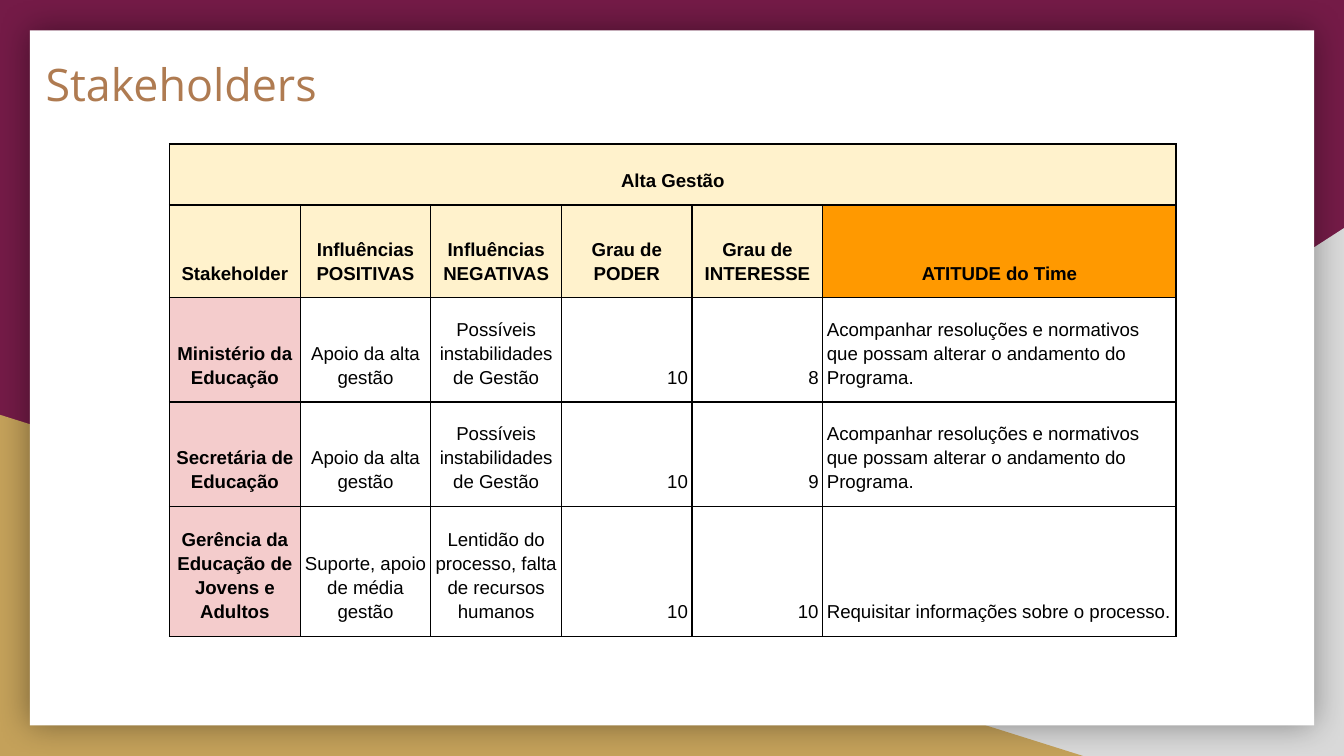
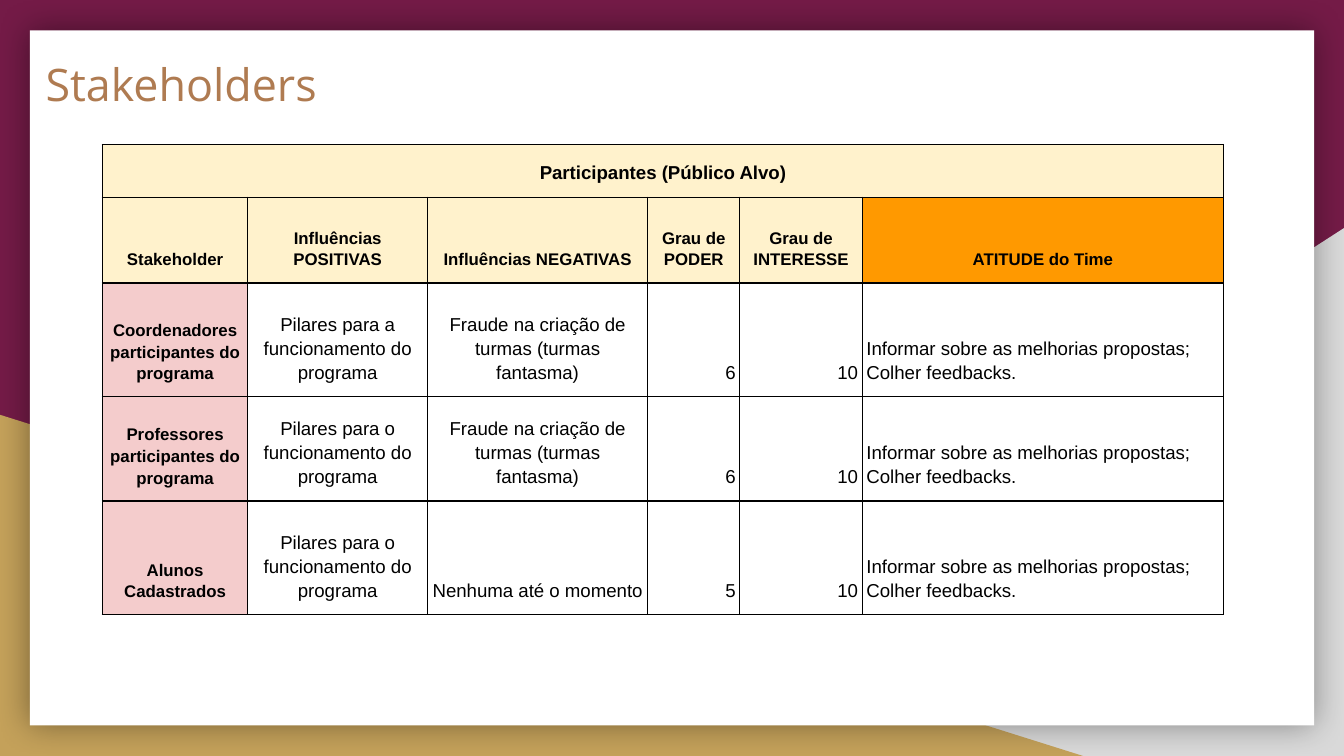
"""Build two stakeholder tables on a shared framed background."""

from lxml.etree import SubElement
from pptx import Presentation
from pptx.dml.color import RGBColor
from pptx.enum.shapes import MSO_SHAPE
from pptx.enum.text import MSO_ANCHOR, PP_ALIGN
from pptx.oxml.ns import qn
from pptx.util import Pt

PLUM, GREY, GOLD, WHITE, BLACK = "741B47", "D9D9D9", "C4A15A", "FFFFFF", "000000"
BRONZE, CREAM, ORANGE, ROSE = "AF7B51", "FFF2CC", "FF9900", "F4CCCC"
TITLE_FONT, TABLE_FONT = "Open Sans", "Arial"

HEADERS = ["Stakeholder", "Influências POSITIVAS", "Influências NEGATIVAS",
           "Grau de PODER", "Grau de INTERESSE", "ATITUDE do Time"]
ALIGNMENTS = [PP_ALIGN.CENTER] * 3 + [PP_ALIGN.RIGHT] * 2 + [PP_ALIGN.LEFT]

FOLLOW = "Acompanhar resoluções e normativos que possam alterar o andamento do Programa."
INFORM = "Informar sobre as melhorias propostas; Colher feedbacks."
UNSTABLE = "Possíveis instabilidades de Gestão"
PILLARS = "Pilares para o funcionamento do programa"
FRAUD = "Fraude na criação de turmas (turmas fantasma)"

PAGES = [
    {
        "title": "Stakeholders",
        "group": "Alta Gestão",
        "origin": (90.8, 77.2),
        "columns": [70, 70, 70, 70, 70, 189.3],
        "heights": [32.6, 49.7, 39, 39, 35.3],
        "label_size": 10,
        "rows": [
            ("Ministério da Educação", "Apoio da alta gestão", UNSTABLE, "10", "8", FOLLOW),
            ("Secretária de Educação", "Apoio da alta gestão", UNSTABLE, "10", "9", FOLLOW),
            ("Gerência da Educação de Jovens e Adultos", "Suporte, apoio de média gestão",
             "Lentidão do processo, falta de recursos humanos", "10", "10",
             "Requisitar informações sobre o processo."),
        ],
    },
    {
        "title": "Stakeholders",
        "group": "Participantes (Público Alvo)",
        "origin": (54.8, 77.4),
        "columns": [78, 96.2, 118, 49.4, 65.6, 193.5],
        "heights": [26, 46, 61, 55.5, 61],
        "label_size": 9,
        "rows": [
            ("Coordenadores participantes do programa",
             "Pilares para a funcionamento do programa", FRAUD, "6", "10", INFORM),
            ("Professores participantes do programa", PILLARS, FRAUD, "6", "10", INFORM),
            ("Alunos Cadastrados", PILLARS, "Nenhuma até o momento", "5", "10", INFORM),
        ],
    },
]


def color(value):
    return RGBColor.from_string(value)


def add_panel(page, kind, bounds, fill):
    shape = page.shapes.add_shape(kind, *map(Pt, bounds))
    shape.shadow.inherit = False
    shape.fill.solid()
    shape.fill.fore_color.rgb = color(fill)
    shape.line.fill.background()
    return shape


def add_glow(shape):
    effects = shape._element.spPr.find(qn("a:effectLst"))
    shadow = SubElement(effects, qn("a:outerShdw"), blurRad=str(Pt(18)), dist="0",
                        dir="0", algn="ctr", rotWithShape="0")
    tint = SubElement(shadow, qn("a:srgbClr"), val=BLACK)
    SubElement(tint, qn("a:alpha"), val="40000")


def add_frame(page):
    page.background.fill.solid()
    page.background.fill.fore_color.rgb = color(PLUM)
    corner = add_panel(page, MSO_SHAPE.RIGHT_TRIANGLE, (282, 122.2, 438, 282.8), GREY)
    corner._element.spPr.find(qn("a:xfrm")).set("flipH", "1")
    add_panel(page, MSO_SHAPE.RIGHT_TRIANGLE, (0, 222.2, 580.3, 182.8), GOLD)
    add_glow(add_panel(page, MSO_SHAPE.RECTANGLE, (16, 16.3, 688, 372.4), WHITE))


def add_span(paragraph, text, font, size, fill, bold=False):
    span = paragraph.add_run()
    span.text = text
    span.font.name = font
    span.font.size = Pt(size)
    span.font.bold = bold
    span.font.color.rgb = color(fill)


def add_title(page, text):
    box = page.shapes.add_textbox(Pt(17.3), Pt(23), Pt(584.6), Pt(74.9))
    frame = box.text_frame
    frame.word_wrap = True
    frame.margin_left = frame.margin_right = Pt(7.2)
    frame.margin_top = frame.margin_bottom = Pt(7.2)
    add_span(frame.paragraphs[0], text, TITLE_FONT, 24, BRONZE)


def style_cell(cell, fill):
    cell.margin_left = cell.margin_right = Pt(2.25)
    cell.margin_top = cell.margin_bottom = Pt(7.2)
    cell.vertical_anchor = MSO_ANCHOR.BOTTOM
    properties = cell._tc.get_or_add_tcPr()
    for side in ("lnL", "lnR", "lnT", "lnB"):
        line = SubElement(properties, qn(f"a:{side}"), w=str(Pt(0.75)))
        SubElement(SubElement(line, qn("a:solidFill")), qn("a:srgbClr"), val=BLACK)
    if fill:
        cell.fill.solid()
        cell.fill.fore_color.rgb = color(fill)
    else:
        cell.fill.background()


def cell_fill(row, column):
    if row == 0:
        return CREAM
    if row == 1:
        return ORANGE if column == len(HEADERS) - 1 else CREAM
    return ROSE if column == 0 else None


def add_stakeholder_table(page, content):
    columns, heights = content["columns"], content["heights"]
    rows = [(content["group"],), HEADERS, *content["rows"]]
    bounds = (*content["origin"], sum(columns), sum(heights))
    table = page.shapes.add_table(len(rows), len(columns), *map(Pt, bounds)).table
    table.first_row = table.horz_banding = False
    for column, width in zip(table.columns, columns):
        column.width = Pt(width)
    for row, height in zip(table.rows, heights):
        row.height = Pt(height)
    for r in range(len(rows)):
        for c in range(len(columns)):
            style_cell(table.cell(r, c), cell_fill(r, c))
    table.cell(0, 0).merge(table.cell(0, len(columns) - 1))
    for r, texts in enumerate(rows):
        for c, text in enumerate(texts):
            heading = r < 2 or c == 0
            label = r > 0 and heading
            paragraph = table.cell(r, c).text_frame.paragraphs[0]
            paragraph.alignment = PP_ALIGN.CENTER if heading else ALIGNMENTS[c]
            paragraph.line_spacing = 1.15
            size = content["label_size"] if label else 10
            add_span(paragraph, text, TABLE_FONT, size, BLACK, heading)


def main():
    deck = Presentation()
    deck.slide_width, deck.slide_height = Pt(720), Pt(405)
    for content in PAGES:
        page = deck.slides.add_slide(deck.slide_layouts[6])
        add_frame(page)
        add_title(page, content["title"])
        add_stakeholder_table(page, content)
    deck.save("out.pptx")


if __name__ == "__main__":
    main()
